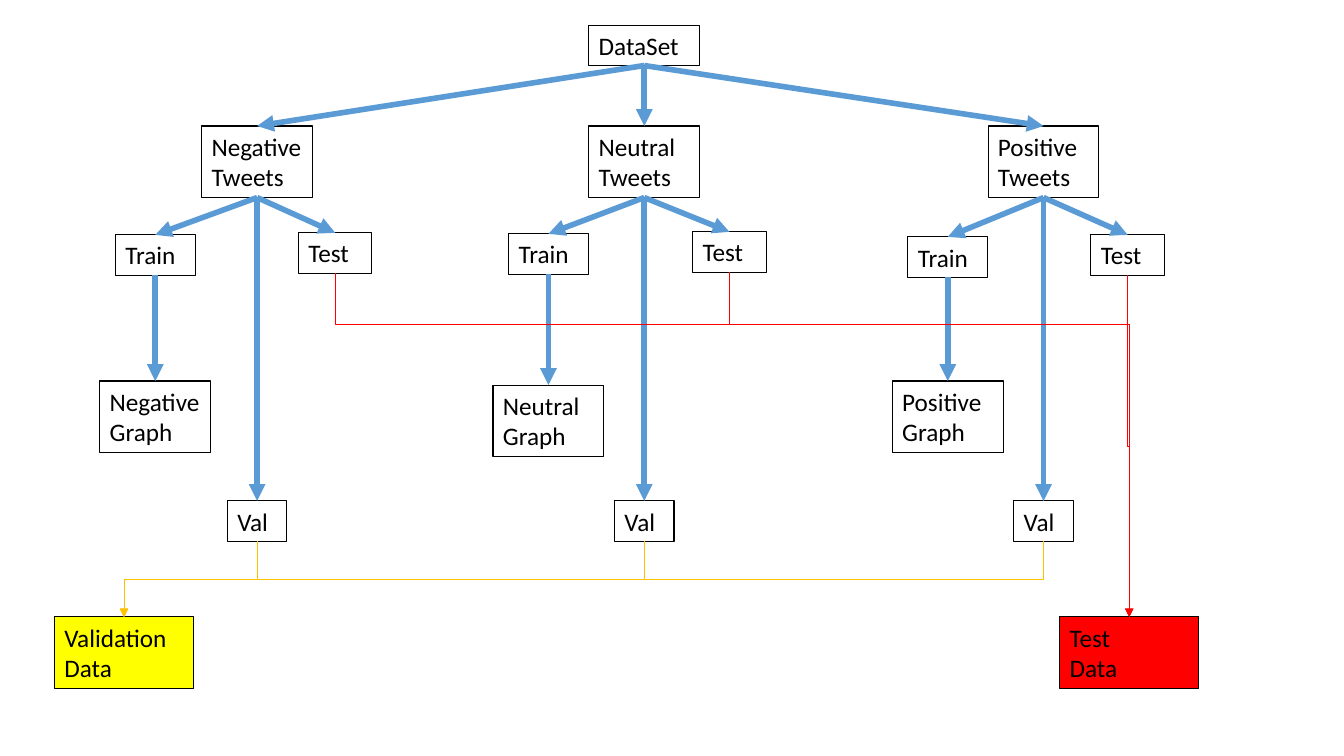
from dataclasses import dataclass

from lxml.etree import SubElement
from pptx import Presentation
from pptx.dml.color import RGBColor
from pptx.enum.shapes import MSO_CONNECTOR
from pptx.enum.text import MSO_AUTO_SIZE
from pptx.oxml.ns import qn
from pptx.util import Inches, Pt

CELL = Inches(0.25)  # side of one grid square
TALL = {1: 1.6, 2: 2.84}  # box height in rows, by lines of text


@dataclass(frozen=True)
class Theme:
    """Colours, type and line sizes of the slide."""
    font: str = "Calibri"
    size: float = 18
    ink: str = "000000"
    blue: str = "5B9BD5"
    gold: str = "FFC000"
    red: str = "FF0000"
    yellow: str = "FFFF00"
    edge: float = 0.75
    thick: float = 4
    thin: float = 0.5


THEME = Theme()

# name, trunk column, train (column, row), test (column, row), graph row
GROUPS = [
    ("Negative", 10.2, (6.16, 9.32), (13.3, 9.24), 15.12),
    ("Neutral", 25.56, (21.76, 9.28), (28.94, 9.2), 15.28),
    ("Positive", 41.4, (37.6, 9.4), (44.74, 9.32), 15.12),
]


def grid(*cells):
    """Turn grid counts into slide lengths."""
    return [round(cell * CELL) for cell in cells]


def style(item, values):
    """Set attributes from a dict of format values."""
    for name, value in values.items():
        setattr(item, name, value)


def box(slide, text, mid, top, wide, lines=1, fill=None):
    """Add a framed label centred on a column."""
    shape = slide.shapes.add_textbox(
        *grid(mid - wide / 2, top, wide, TALL[lines]))
    frame = shape.text_frame
    frame.text = text
    style(frame, {"word_wrap": True,
                  "auto_size": MSO_AUTO_SIZE.SHAPE_TO_FIT_TEXT})
    for para in frame.paragraphs:
        style(para.font, {"name": THEME.font, "size": Pt(THEME.size)})
        para.font.color.rgb = RGBColor.from_string(THEME.ink)
    shape.line.width = Pt(THEME.edge)
    shape.line.color.rgb = RGBColor.from_string(THEME.ink)
    if fill:
        shape.fill.solid()
        shape.fill.fore_color.rgb = RGBColor.from_string(fill)
    return shape


def finish(link, color, width):
    """Give a connector its line, arrowhead and no shadow."""
    link.line.width = Pt(width)
    link.line.color.rgb = RGBColor.from_string(color)
    props = link._element.spPr
    SubElement(props.find(qn("a:ln")), qn("a:tailEnd"), type="triangle")
    SubElement(props, qn("a:effectLst"))


def arrow(slide, start, end):
    """Join the foot of one box to the head of another."""
    link = slide.shapes.add_connector(MSO_CONNECTOR.STRAIGHT, 0, 0, 0, 0)
    link.begin_connect(start, 2)
    link.end_connect(end, 0)
    finish(link, THEME.blue, THEME.thick)


def elbow(slide, start, end, color, bend=0.5):
    """Run down, across and down again, turning at the bend share."""
    ax, ay = start.left + start.width // 2, start.top + start.height
    bx, by = end.left + end.width // 2, end.top
    right = bx > ax
    midx, midy = (ax + bx) // 2, (ay + by) // 2
    halfw, halfh = (by - ay) // 2, abs(bx - ax) // 2
    side = halfw if right else -halfw
    link = slide.shapes.add_connector(
        MSO_CONNECTOR.ELBOW,
        midx + side, midy - halfh, midx - side, midy + halfh)
    props = link._element.spPr
    turn = 270 if right else 90
    props.find(qn("a:xfrm")).set("rot", str(turn * 60000))
    guides = props.find(qn("a:prstGeom")).find(qn("a:avLst"))
    SubElement(guides, qn("a:gd"), name="adj1",
               fmla=f"val {round(bend * 100000)}")
    finish(link, color, THEME.thin)


def branch(slide, root, group):
    """Draw one class of tweets and return its val and test boxes."""
    name, trunk, train_at, test_at, low = group
    tweets = box(slide, f"{name}\nTweets", trunk, 5, 4.4, 2)
    train = box(slide, "Train", *train_at, 3.16)
    test = box(slide, "Test", *test_at, 2.92)
    val = box(slide, "Val", trunk, 19.88, 2.36)
    graph = box(slide, f"{name}\nGraph", train_at[0], low, 4.4, 2)
    arrow(slide, root, tweets)
    for part in (train, test, val):
        arrow(slide, tweets, part)
    arrow(slide, train, graph)
    return val, test


def main():
    """Build the data split tree and save it."""
    deck = Presentation()
    style(deck, {"slide_width": Inches(13.33), "slide_height": Inches(7.5)})
    slide = deck.slides.add_slide(deck.slide_layouts[6])
    root = box(slide, "DataSet", 25.56, 1, 4.4)
    pairs = [branch(slide, root, group) for group in GROUPS]
    check = box(slide, "Validation Data", 4.92, 24.48, 5.52, 2, THEME.yellow)
    trial = box(slide, "Test\nData", 44.8, 24.48, 5.52, 2, THEME.red)
    for val, _ in pairs:
        elbow(slide, val, check, THEME.gold)
    for (_, test), bend in zip(pairs, (0.15, 0.15, 0.5)):
        elbow(slide, test, trial, THEME.red, bend)
    deck.save("out.pptx")


main()
